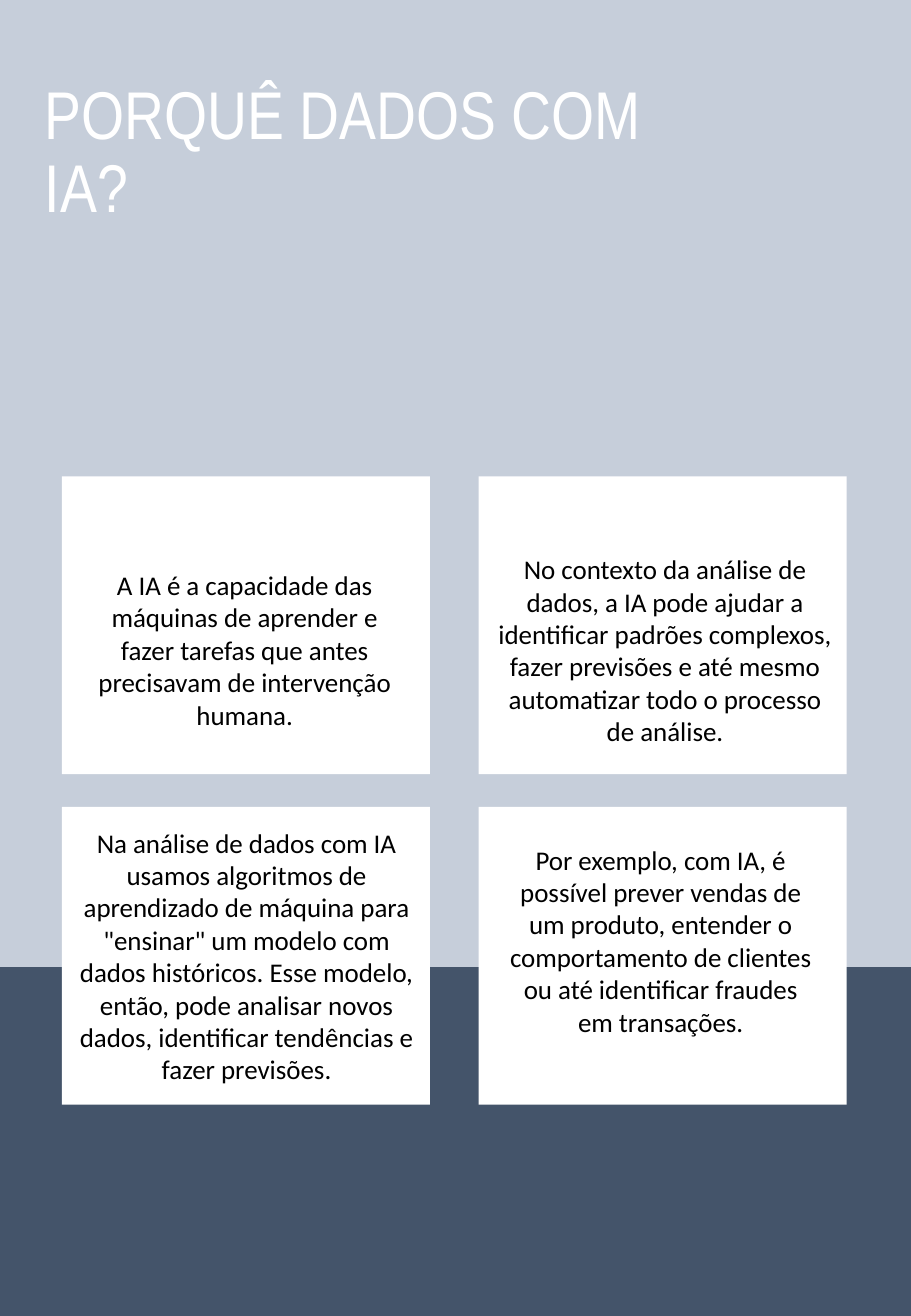
from pptx import Presentation
from pptx.dml.color import RGBColor as RGB
from pptx.enum.shapes import MSO_SHAPE as Shape
from pptx.enum.text import MSO_ANCHOR as Anchor, MSO_AUTO_SIZE as Fit, PP_ALIGN as Align
from pptx.oxml.ns import qn
from pptx.util import Inches, Pt
from lxml.etree import SubElement as Sub

HUES = {"mist": "ADB9CA", "navy": "44546A", "white": "FFFFFF", "black": "000000"}
WIDE, HIGH = 7.5, 10.83


def write(frame, text, font="Calibri", size=16, hue="black", align=Align.CENTER,
          line=None, before=None, fit=Fit.NONE):
    frame.word_wrap = True
    frame.auto_size = fit
    frame.vertical_anchor = Anchor.TOP
    para = frame.paragraphs[0]
    para.alignment = align
    para.line_spacing = line
    para.space_before = before
    run = para.add_run()
    run.text = text
    run.font.name = font
    run.font.size = Pt(size)
    run.font.color.rgb = RGB.from_string(HUES[hue])


class Page:
    def __init__(self, deck):
        self.slide = deck.slides.add_slide(deck.slide_layouts[5])
        self.shapes = self.slide.shapes

    def block(self, box, hue, alpha=None):
        shape = self.shapes.add_shape(Shape.RECTANGLE, *map(Inches, box))
        shape.shadow.inherit = False
        shape.line.fill.background()
        shape.fill.solid()
        shape.fill.fore_color.rgb = RGB.from_string(HUES[hue])
        if alpha:
            tint = shape.fill._xPr.find(".//" + qn("a:srgbClr"))
            Sub(tint, qn("a:alpha"), val=str(alpha * 1000))

    def title(self, box, text):
        head = self.shapes.title
        head.left, head.top, head.width, head.height = map(Inches, box)
        write(head.text_frame, text, "Arial Narrow", 40, "white", Align.LEFT,
              line=0.9, before=Pt(7.5))
        # Bring the title in front of the backdrop
        self.shapes._spTree.append(head._element)

    def note(self, box, text):
        area = self.shapes.add_textbox(*map(Inches, box))
        write(area.text_frame, text, fit=Fit.SHAPE_TO_FIT_TEXT)


NOTES = [
    ((0.58, 4.63, 2.87, 1.45),
     "A IA é a capacidade das máquinas de aprender e fazer tarefas que antes "
     "precisavam de intervenção humana."),
    ((3.98, 4.5, 2.99, 1.72),
     "No contexto da análise de dados, a IA pode ajudar a identificar padrões "
     "complexos, fazer previsões e até mesmo automatizar todo o processo de análise."),
    ((0.54, 6.75, 2.98, 2.26),
     "Na análise de dados com IA usamos algoritmos de aprendizado de máquina para "
     "\"ensinar\" um modelo com dados históricos. Esse modelo, então, pode analisar "
     "novos dados, identificar tendências e fazer previsões."),
    ((4.06, 6.89, 2.76, 1.72),
     "Por exemplo, com IA, é possível prever vendas de um produto, entender o "
     "comportamento de clientes ou até identificar fraudes em transações."),
]


def main():
    deck = Presentation()
    deck.slide_width, deck.slide_height = Inches(WIDE), Inches(HIGH)
    page = Page(deck)

    # Backdrop, title and lower band
    page.block((0, 0, WIDE, HIGH), "mist", alpha=69)
    page.title((0.27, 0.62, 5.82, 1.18), "PORQUÊ DADOS COM IA?")
    page.block((-0.03, 7.96, 7.53, 2.89), "navy")

    # Two by two grid of white cards
    for i in range(4):
        row, col = divmod(i, 2)
        page.block((0.51 + 3.43 * col, 3.92 + 2.72 * row, 3.03, 2.45), "white")

    # Card texts
    for box, text in NOTES:
        page.note(box, text)

    deck.save("out.pptx")


if __name__ == "__main__":
    main()
